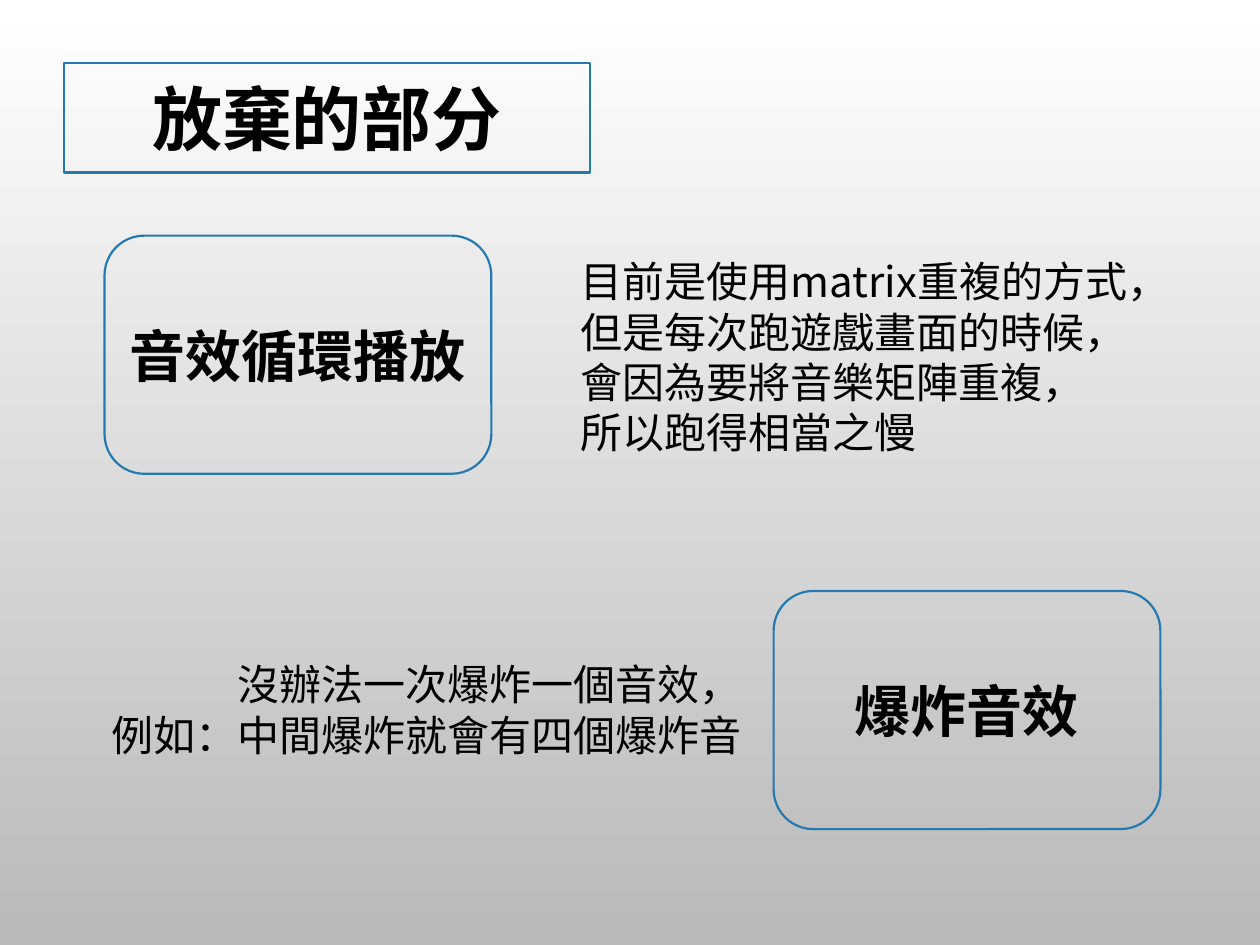
from dataclasses import dataclass

from lxml import etree
from pptx import Presentation
from pptx.dml.color import RGBColor
from pptx.enum.shapes import MSO_SHAPE
from pptx.enum.text import MSO_ANCHOR, MSO_AUTO_SIZE, PP_ALIGN
from pptx.oxml.ns import qn
from pptx.util import Inches, Pt

ROUND = MSO_SHAPE.ROUNDED_RECTANGLE
MIDDLE, TOP = MSO_ANCHOR.MIDDLE, MSO_ANCHOR.TOP
LEFT, CENTER, RIGHT = PP_ALIGN.LEFT, PP_ALIGN.CENTER, PP_ALIGN.RIGHT
FIXED, GROW = MSO_AUTO_SIZE.NONE, MSO_AUTO_SIZE.SHAPE_TO_FIT_TEXT
WIDTH, HEIGHT = Inches(10), Inches(7.5)
COLS, ROWS = 100, 75


@dataclass(frozen=True)
class Theme:
    ink: RGBColor = RGBColor.from_string("000000")
    edge: RGBColor = RGBColor.from_string("2379B0")
    back: tuple = (RGBColor.from_string("FFFFFF"), RGBColor.from_string("B9B9B9"))
    head: str = "Noto Sans CJK SC"
    body: str = "Noto Sans CJK JP"
    title: Pt = Pt(40)
    label: Pt = Pt(32)
    note: Pt = Pt(24)
    rule: Pt = Pt(1.25)


def assign(target, values):
    for name, value in values.items():
        setattr(target, name, value)


class Deck:
    def __init__(self, theme):
        self.theme = theme
        self.file = Presentation()
        assign(self.file, {"slide_width": WIDTH, "slide_height": HEIGHT})
        self.slide = self.file.slides.add_slide(self.file.slide_layouts[5])

    def place(self, col, row, wide, high):
        """Turn grid columns and rows into slide lengths."""
        x, y = WIDTH / COLS, HEIGHT / ROWS
        return [round(n) for n in (col * x, row * y, wide * x, high * y)]

    def shade(self):
        """Fill the background from top to bottom."""
        fill = self.slide.background.fill
        fill.gradient()
        fill.gradient_angle = 270
        for stop, color in zip(fill.gradient_stops, self.theme.back):
            stop.color.rgb = color

    def label(self, shape, lines, align, font, frame):
        """Set the text of a shape and format every run."""
        text = shape.text_frame
        assign(text, {"word_wrap": True, **frame})
        text.text = "\n".join(lines)
        for para in text.paragraphs:
            para.alignment = align
            for run in para.runs:
                assign(run.font, font)
                run.font.color.rgb = self.theme.ink
                east = etree.SubElement(run.font._element, qn("a:ea"))
                east.set("typeface", font["name"])

    def outline(self, shape):
        shape.fill.background()
        shape.line.color.rgb = self.theme.edge
        shape.line.width = self.theme.rule

    def title(self, words, *cells):
        shape = self.slide.shapes.title
        assign(shape, dict(zip(("left", "top", "width", "height"), self.place(*cells))))
        form = etree.SubElement(shape._element.spPr, qn("a:prstGeom"), prst="roundRect")
        etree.SubElement(form, qn("a:avLst"))
        self.outline(shape)
        font = {"name": self.theme.head, "size": self.theme.title, "bold": True}
        self.label(shape, [words], CENTER, font,
                   {"vertical_anchor": MIDDLE, "auto_size": FIXED})

    def card(self, words, col, row):
        shape = self.slide.shapes.add_shape(ROUND, *self.place(col, row, 30.7, 18.9))
        shape.shadow.inherit = False
        self.outline(shape)
        font = {"name": self.theme.body, "size": self.theme.label, "bold": True}
        self.label(shape, [words], CENTER, font, {"vertical_anchor": MIDDLE})

    def note(self, lines, align, *cells):
        box = self.slide.shapes.add_textbox(*self.place(*cells))
        font = {"name": self.theme.body, "size": self.theme.note}
        self.label(box, lines, align, font,
                   {"vertical_anchor": TOP, "auto_size": GROW})


def main():
    deck = Deck(Theme())
    deck.shade()
    deck.title("放棄的部分", 5.1, 5, 41.7, 8.7)
    deck.card("音效循環播放", 8.3, 18.7)
    deck.note(["目前是使用matrix重複的方式，但是每次跑遊戲畫面的時候， 會因為要將音樂矩陣重複，",
               "所以跑得相當之慢"], LEFT, 45.1, 19.8, 48.8, 17.2)
    deck.card("爆炸音效", 61.4, 46.9)
    deck.note(["沒辦法一次爆炸一個音效，", "例如：中間爆炸就會有四個爆炸音"],
              RIGHT, 5.5, 51.8, 54.3, 9.1)
    deck.file.save("out.pptx")


if __name__ == "__main__":
    main()
